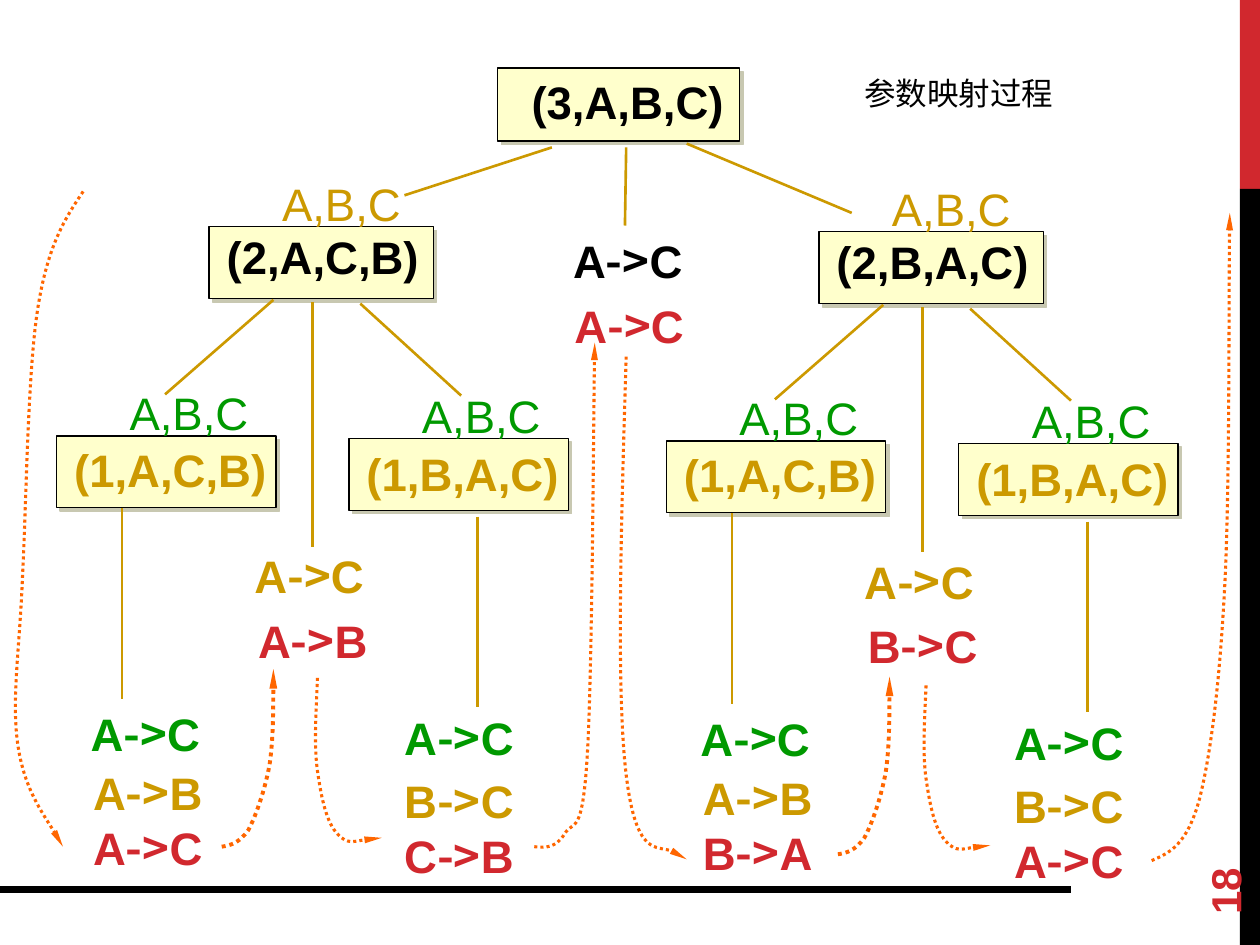
from dataclasses import dataclass

from lxml import etree
from pptx import Presentation
from pptx import util as u
from pptx.dml import color
from pptx.enum import dml, shapes, text
from pptx.oxml import ns


@dataclass(frozen=True)
class Theme:
    """Colours, fonts and type sizes of the slide."""
    black: str = "000000"
    red: str = "D1282E"
    gold: str = "CC9900"
    green: str = "009900"
    orange: str = "FF6600"
    cream: str = "FFFFCC"
    shade: str = "C8C8B1"
    latin: str = "Arial"
    arrow: str = "Noto Sans CJK SC"
    body: int = 26
    number: int = 24
    caption: int = 18
    arrow_leading: float = 31.5


T = Theme()


def cm(inches):
    """Turn a position on the inch grid into a Cm length."""
    return u.Cm(inches * 2.54)


def rgb(code):
    """Return the colour for a hex code."""
    return color.RGBColor.from_string(code)


def child(parent, tag, **attributes):
    """Append a drawing element with its attributes."""
    return etree.SubElement(parent, ns.qn(tag), attributes)


def add_run(paragraph, words, ink, size=T.body, bold=False, font=T.latin):
    """Add one formatted run."""
    run = paragraph.add_run()
    run.text = words
    run.font.name, run.font.size, run.font.bold = font, u.Pt(size), bold
    run.font.color.rgb = rgb(ink)


def add_frame(slide, left, top, width, height, wrap=True):
    """Add a text box and return it."""
    frame = slide.shapes.add_textbox(cm(left), cm(top), cm(width), cm(height))
    frame.text_frame.word_wrap = wrap
    frame.text_frame.auto_size = text.MSO_AUTO_SIZE.SHAPE_TO_FIT_TEXT
    return frame


def add_label(slide, left, top, width, words, ink, height=0.53, wrap=True, **style):
    """Add a single line of text."""
    label = add_frame(slide, left, top, width, height, wrap)
    add_run(label.text_frame.paragraphs[0], words, ink, **style)


def add_moves(slide, left, top, *moves):
    """Add disc moves such as A->C, one to a line."""
    frame = add_frame(slide, left, top, 1.08, 0.09 + 0.44 * len(moves), False).text_frame
    for index, (source, target, ink) in enumerate(moves):
        line = frame.add_paragraph() if index else frame.paragraphs[0]
        line.line_spacing = u.Pt(T.arrow_leading)
        add_run(line, source, ink, bold=True)
        add_run(line, "->", ink, bold=True, font=T.arrow)
        add_run(line, target, ink, bold=True)


def add_bar(slide, left, top, width, height, fill):
    """Add a plain filled rectangle."""
    bar = slide.shapes.add_shape(
        shapes.MSO_SHAPE.RECTANGLE, cm(left), cm(top), cm(width), cm(height))
    bar.shadow.inherit = False
    bar.fill.solid()
    bar.fill.fore_color.rgb = rgb(fill)
    bar.line.fill.background()
    return bar


def add_call_box(slide, left, top, width, height=0.57):
    """Add a cream call box with a hard shadow."""
    box = add_bar(slide, left, top, width, height, T.cream)
    box.line.color.rgb = rgb(T.black)
    box.line.width = u.Pt(0.75)
    effects = box.element.spPr.find(ns.qn("a:effectLst"))
    shadow = child(effects, "a:outerShdw", dist=str(u.Pt(2.8)), dir="2700000",
                   algn="ctr", rotWithShape="0")
    child(shadow, "a:srgbClr", val=T.shade)


def add_call(slide, left, top, width, call, ink, params_ink, rise=0):
    """Add a recursive call with its parameter names above it."""
    add_call_box(slide, left, top, width)
    add_label(slide, left + 0.04, top - rise, 2.02, call, ink, bold=True)
    add_label(slide, left + 0.48, top - 0.45, 1.15, "A,B,C", params_ink, wrap=False)


def add_line(slide, x1, y1, x2, y2, ink=T.gold, weight=1.5):
    """Add a straight line."""
    line = slide.shapes.add_connector(
        shapes.MSO_CONNECTOR.STRAIGHT, cm(x1), cm(y1), cm(x2), cm(y2))
    line.line.color.rgb = rgb(ink)
    line.line.width = u.Pt(weight)
    child(line.element.spPr, "a:effectLst")


def bend(outline):
    """Turn each three straight segments of an outline into one cubic curve."""
    segments = outline.findall(ns.qn("a:lnTo"))
    for first in range(0, len(segments), 3):
        curve = child(outline, "a:cubicBezTo")
        for segment in segments[first:first + 3]:
            curve.append(segment[0])
            outline.remove(segment)


def add_trail(slide, knots, dx=0, dy=0, weight=1.75):
    """Add a dotted curve that ends in an arrowhead."""
    start, *rest = [(cm(x + dx), cm(y + dy)) for x, y in knots]
    builder = slide.shapes.build_freeform(*start)
    builder.add_line_segments(rest, close=False)
    trail = builder.convert_to_shape()
    bend(next(trail.element.iter(ns.qn("a:path"))))
    trail.shadow.inherit = False
    trail.fill.background()
    trail.line.color.rgb = rgb(T.orange)
    trail.line.width = u.Pt(weight)
    trail.line.dash_style = dml.MSO_LINE.ROUND_DOT
    stroke = trail.element.spPr.find(ns.qn("a:ln"))
    child(stroke, "a:tailEnd", type="triangle", w="sm", len="lg")


def add_page_frame(slide):
    """Add the edge bars, the base line and the page number."""
    add_bar(slide, 9.84, 0, 0.16, 1.5, T.red)
    add_bar(slide, 9.84, 1.5, 0.16, 6, T.black)
    add_line(slide, 0, 7.06, 8.5, 7.06, T.black, 4.5)
    number = add_frame(slide, 9, 6.44, 1.44, 0.4)
    number.rotation = 270
    number.text_frame.auto_size = text.MSO_AUTO_SIZE.NONE
    number.text_frame.vertical_anchor = text.MSO_ANCHOR.MIDDLE
    add_run(number.text_frame.paragraphs[0], "18", T.red, T.number, True)


def add_root(slide):
    """Add the first call, its own move and its three branches."""
    add_call_box(slide, 3.95, 0.54, 1.92, 0.58)
    add_label(slide, 4.12, 0.54, 2.02, "(3,A,B,C)", T.black, bold=True)
    add_moves(slide, 4.45, 1.8, ("A", "C", T.black))
    add_moves(slide, 4.46, 2.31, ("A", "C", T.red))
    for branch in ((4.97, 1.17, 4.96, 1.79), (4.38, 1.17, 3.21, 1.55),
                   (5.45, 1.14, 6.76, 1.69)):
        add_line(slide, *branch)


def add_subtree(slide, dx, dy, call, middle, first, last):
    """Add a two-disc call with its two one-disc calls and their moves."""
    add_call(slide, 1.66 + dx, 1.8 + dy, 1.78, call, T.black, T.gold, rise=0.03)
    add_call(slide, 0.45 + dx, 3.46 + dy, 1.74, "(1,A,C,B)", T.gold, T.green)
    add_call(slide, 2.77 + dx, 3.48 + dy, 1.74, "(1,B,A,C)", T.gold, T.green, rise=-0.01)
    for x1, y1, x2, y2 in ((0.97, 4.03, 0.97, 5.55), (2.17, 2.38, 1.31, 3.13),
                           (2.48, 2.4, 2.48, 4.34), (2.86, 2.41, 3.66, 3.14),
                           (3.79, 4.1, 3.79, 5.61)):
        add_line(slide, x1 + dx, y1 + dy, x2 + dx, y2 + dy)
    for left, top, ink in ((0.62, 5.55, T.green), (1.92, 4.3, T.gold), (3.11, 5.58, T.green)):
        add_moves(slide, left + dx, top + dy, ("A", "C", ink))
    add_moves(slide, 1.95 + dx, 4.81 + dy, (*middle, T.red))
    add_moves(slide, 0.64 + dx, 6.02 + dy, ("A", "B", T.gold), (*first, T.red))
    add_moves(slide, 3.11 + dx, 6.08 + dy, ("B", "C", T.gold), (*last, T.red))


def add_trails(slide):
    """Add the dotted path through the moves."""
    climb = [(1.76, 6.72), (1.83, 6.71), (1.9, 6.69), (1.97, 6.59), (2.03, 6.48),
             (2.1, 6.28), (2.14, 6.07), (2.17, 5.86), (2.17, 5.44), (2.17, 5.31)]
    descent = [(2.52, 5.38), (2.51, 5.64), (2.49, 5.91), (2.52, 6.12), (2.55, 6.33),
               (2.59, 6.53), (2.68, 6.62), (2.76, 6.71), (2.97, 6.65), (3.03, 6.65)]
    to_root = [(4.24, 6.72), (4.33, 6.73), (4.41, 6.73), (4.48, 6.62), (4.55, 6.5),
               (4.62, 6.66), (4.66, 6.01), (4.7, 5.36), (4.71, 3.27), (4.72, 2.72)]
    from_root = [(4.97, 2.83), (4.93, 4.15), (4.89, 5.48), (4.97, 6.15),
                 (5.05, 6.81), (5.37, 6.71), (5.45, 6.82)]
    entry = [(0.66, 1.52), (0.52, 1.73), (0.38, 1.94), (0.3, 2.45), (0.22, 2.95),
             (0.21, 3.98), (0.18, 4.55), (0.16, 5.13), (0.09, 5.53), (0.14, 5.9),
             (0.19, 6.26), (0.43, 6.59), (0.5, 6.72)]
    leave = [(9.14, 6.83), (9.28, 6.77), (9.42, 6.71), (9.52, 6.34), (9.61, 5.98),
             (9.68, 5.43), (9.72, 4.65), (9.76, 3.88), (9.75, 2.18), (9.76, 1.69)]
    for climb_dx, descent_dx, dy in ((0, 0, 0), (4.89, 4.83, 0.06)):
        add_trail(slide, climb, climb_dx, dy, weight=2.25)
        add_trail(slide, descent, descent_dx, dy)
    for knots in (to_root, from_root, entry, leave):
        add_trail(slide, knots)


def main():
    """Build the slide and save it."""
    deck = Presentation()
    deck.slide_width, deck.slide_height = u.Cm(25.4), u.Cm(19.05)
    slide = deck.slides.add_slide(deck.slide_layouts[6])
    add_page_frame(slide)
    add_root(slide)
    add_subtree(slide, 0, 0, "(2,A,C,B)", "AB", "AC", "CB")
    add_subtree(slide, 4.84, 0.04, "(2,B,A,C)", "BC", "BA", "AC")
    add_trails(slide)
    add_label(slide, 6.76, 0.54, 2.69, "参数映射过程", T.black, height=0.4, size=T.caption)
    deck.save("out.pptx")


if __name__ == "__main__":
    main()
